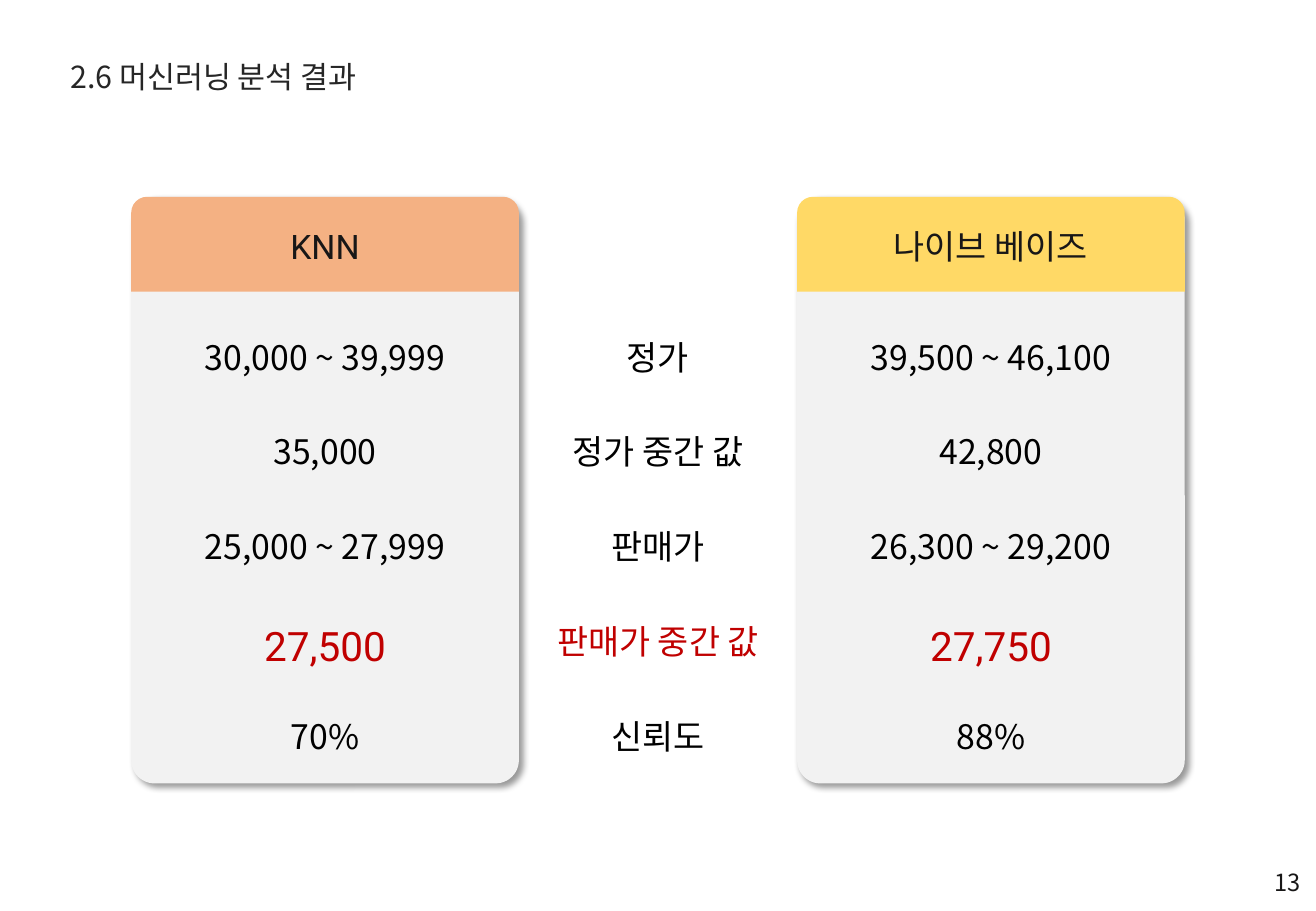
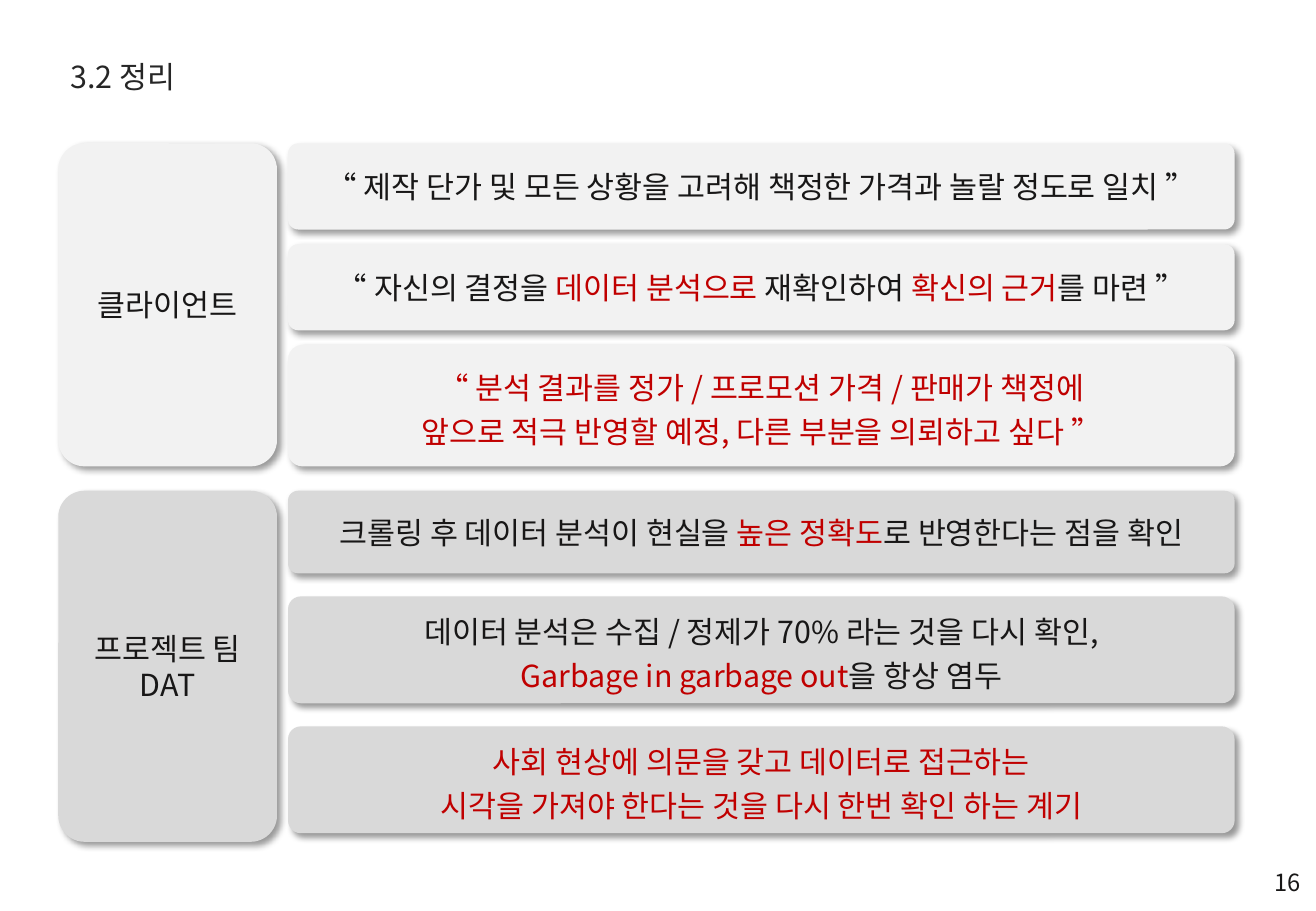
from lxml.etree import SubElement
from pptx import Presentation
from pptx.dml.color import RGBColor
from pptx.enum.shapes import MSO_SHAPE
from pptx.enum.text import MSO_ANCHOR, MSO_AUTO_SIZE, PP_ALIGN
from pptx.oxml.ns import qn
from pptx.util import Emu, Pt

PX = 9144
SANS, ROBOTO = "Noto Sans CJK KR", "Roboto"
BLACK = RGBColor(0x00, 0x00, 0x00)
INK = RGBColor(0x18, 0x17, 0x17)
TITLE_INK = RGBColor(0x26, 0x26, 0x26)
RED = RGBColor(0xC0, 0x00, 0x00)
PALE = RGBColor(0xF2, 0xF2, 0xF2)
GRAY = RGBColor(0xD9, 0xD9, 0xD9)
ORANGE = RGBColor(0xF4, 0xB1, 0x83)
YELLOW = RGBColor(0xFF, 0xD9, 0x66)

TITLE = {"size": Pt(18), "name": SANS, "color": TITLE_INK}
NUMBER = {"size": Pt(14), "name": SANS, "color": INK}
HEADER = {"size": Pt(20), "name": ROBOTO, "color": INK}
LABEL = {"size": Pt(20), "name": ROBOTO, "color": BLACK}
VALUE = {"size": Pt(20), "name": SANS, "color": BLACK}
KEY_LABEL = {**LABEL, "color": RED}
KEY_VALUE = {"size": Pt(24), "name": ROBOTO, "color": RED}
BODY = {"size": Pt(18), "name": SANS, "color": INK}
ACCENT = {**BODY, "color": RED}

LABELS = ["정가", "정가 중간 값", "판매가", "판매가 중간 값", "신뢰도"]
KEY_ROW = 3
CARDS = [
    (108, "KNN", ORANGE,
     ["30,000 ~ 39,999", "35,000", "25,000 ~ 27,999", "27,500", "70%"]),
    (656, "나이브 베이즈", YELLOW,
     ["39,500 ~ 46,100", "42,800", "26,300 ~ 29,200", "27,750", "88%"]),
]
CARD_TOP, CARD_WIDTH, CARD_HEIGHT, HEADER_HEIGHT = 162, 319, 483, 78
ROW_TOP, ROW_STEP = 272, 78

GROUPS = [
    {"name": ["클라이언트"], "fill": PALE, "top": 118, "height": 266, "gap": 12,
     "rows": [
         (71, [[("“ 제작 단가 및 모든 상황을 고려해 책정한 가격과 놀랄 정도로 일치 ”", BODY)]]),
         (71, [[("“ 자신의 결정을 ", BODY), ("데이터 분석으로", ACCENT),
                (" 재확인하여 ", BODY), ("확신의 근거", ACCENT), ("를 마련 ”", BODY)]]),
         (100, [[("“ 분석 결과를 정가 / 프로모션 가격 / 판매가 책정에", ACCENT)],
                [("앞으로 적극 반영할 예정, 다른 부분을 의뢰하고 싶다 ”", ACCENT)]]),
     ]},
    {"name": ["프로젝트 팀", "DAT"], "fill": GRAY, "top": 404, "height": 289, "gap": 19,
     "rows": [
         (68, [[("크롤링 후 데이터 분석이 현실을 ", BODY), ("높은 정확도", ACCENT),
                ("로 반영한다는 점을 확인", BODY)]]),
         (88, [[("데이터 분석은 수집 / 정제가 70% 라는 것을 다시 확인,", BODY)],
               [("Garbage in garbage out", ACCENT), ("을 항상 염두", BODY)]]),
         (88, [[("사회 현상에 의문을 갖고 데이터로 접근하는", ACCENT)],
               [("시각을 가져야 한다는 것을 다시 한번 확인 하는 계기", ACCENT)]]),
     ]},
]


def scaled(*lengths):
    return [Emu(length * PX) for length in lengths]


def write(frame, lines, align=PP_ALIGN.CENTER, spacing=None):
    for index, line in enumerate(lines):
        para = frame.add_paragraph() if index else frame.paragraphs[0]
        para.alignment = align
        para.line_spacing = spacing
        for text, style in line:
            span = para.add_run()
            span.text = text
            for key, value in style.items():
                if key == "color":
                    span.font.color.rgb = value
                else:
                    setattr(span.font, key, value)
            SubElement(span.font._element, qn("a:ea"), typeface=SANS)


def add_text(page, at, text, style, align=PP_ALIGN.CENTER, wrap=True):
    frame = page.shapes.add_textbox(*scaled(*at)).text_frame
    frame.word_wrap = wrap
    frame.auto_size = MSO_AUTO_SIZE.SHAPE_TO_FIT_TEXT
    write(frame, [[(text, style)]], align)


def add_panel(page, at, fill, lines=(), preset=MSO_SHAPE.ROUNDED_RECTANGLE,
              corner=0.12, shadow=True, spacing=None):
    box = page.shapes.add_shape(preset, *scaled(*at))
    if corner is not None:
        box.adjustments[0] = corner
    box.fill.solid()
    box.fill.fore_color.rgb = fill
    box.line.fill.background()
    box.shadow.inherit = False
    if shadow:
        effects = box.element.spPr.find(qn("a:effectLst"))
        outer = SubElement(effects, qn("a:outerShdw"), blurRad=str(Pt(4)), dist=str(Pt(3)),
                           dir="2700000", algn="tl", rotWithShape="0")
        color = SubElement(outer, qn("a:srgbClr"), val=str(BLACK))
        SubElement(color, qn("a:alpha"), val="40000")
    box.text_frame.vertical_anchor = MSO_ANCHOR.MIDDLE
    write(box.text_frame, lines, spacing=spacing)


def add_page(deck, title, number):
    page = deck.slides.add_slide(deck.slide_layouts[6])
    add_text(page, (48, 43, 674, 40), title, TITLE, PP_ALIGN.LEFT)
    add_text(page, (1039, 710, 42, 34), number, NUMBER, PP_ALIGN.LEFT, False)
    return page


def add_rows(page, left, width, texts, style, key_style):
    for index, text in enumerate(texts):
        key = index == KEY_ROW
        at = (left, ROW_TOP + index * ROW_STEP, width, 50 if key else 44)
        add_text(page, at, text, key_style if key else style)


def build_results(deck):
    page = add_page(deck, "2.6 머신러닝 분석 결과", "13")
    for left, name, fill, values in CARDS:
        add_panel(page, (left, CARD_TOP, CARD_WIDTH, CARD_HEIGHT), PALE, corner=0.06)
        add_panel(page, (left, CARD_TOP, CARD_WIDTH, HEADER_HEIGHT), fill, [[(name, HEADER)]],
                  MSO_SHAPE.ROUND_2_SAME_RECTANGLE, None, False)
        add_rows(page, left, CARD_WIDTH, values, VALUE, KEY_VALUE)
    label_left = CARDS[0][0] + CARD_WIDTH
    add_rows(page, label_left, CARDS[1][0] - label_left, LABELS, LABEL, KEY_LABEL)


def build_summary(deck):
    page = add_page(deck, "3.2 정리", "16")
    for group in GROUPS:
        top = group["top"]
        add_panel(page, (48, top, 180, group["height"]), group["fill"],
                  [[(line, BODY)] for line in group["name"]])
        for height, lines in group["rows"]:
            add_panel(page, (237, top, 779, height), group["fill"], lines,
                      spacing=1.2 if len(lines) > 1 else None)
            top += height + group["gap"]


def main():
    deck = Presentation()
    deck.slide_width, deck.slide_height = scaled(1083, 750)
    build_results(deck)
    build_summary(deck)
    deck.save("out.pptx")


if __name__ == "__main__":
    main()
